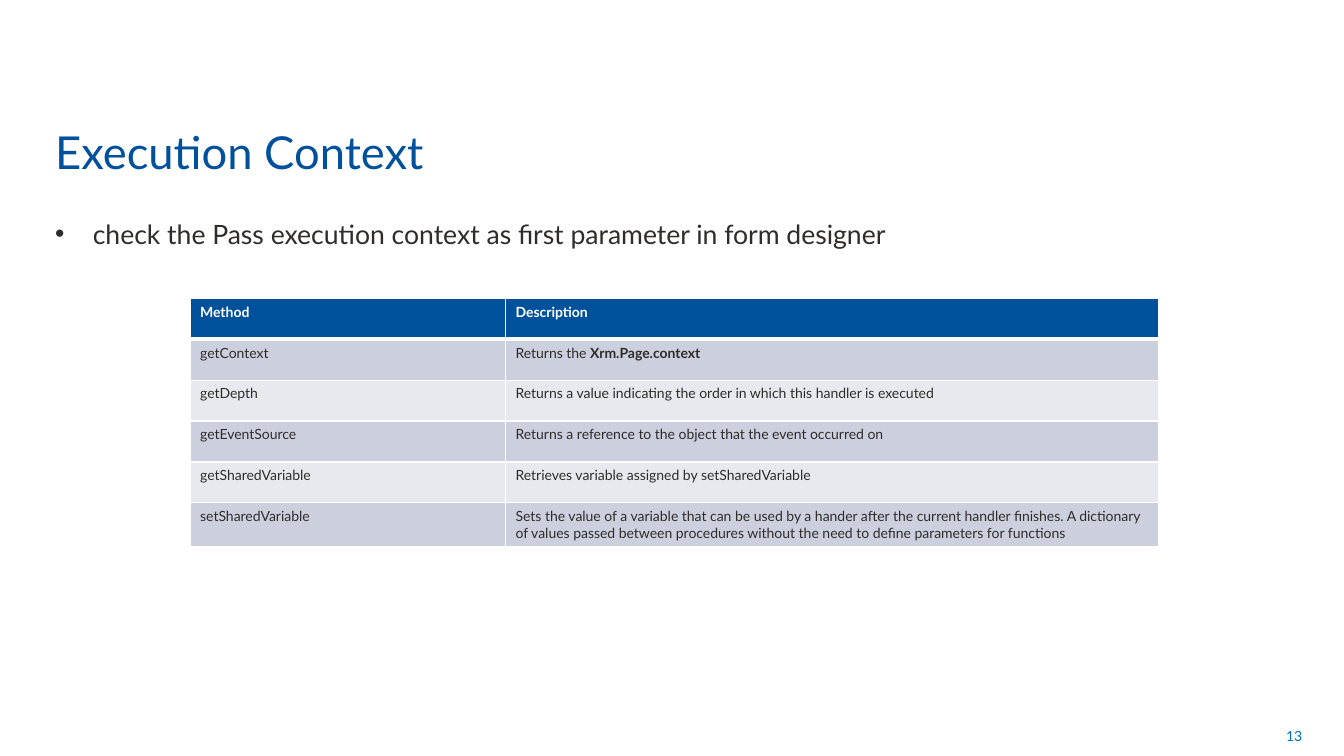
from lxml.etree import SubElement
from pptx import Presentation
from pptx.dml.color import RGBColor
from pptx.enum.text import MSO_ANCHOR as Anchor, PP_ALIGN as Align
from pptx.oxml.ns import qn
from pptx.util import Cm, Pt

BLUE, NUMBER_BLUE, INK, WHITE = "00519C", "0070C0", "2E2D2C", "FFFFFF"
BANDS = "CCD0DE", "E7E9EF"


def color(hex_value):
    return RGBColor.from_string(hex_value)


def add_color(parent, hex_value):
    SubElement(parent, qn("a:srgbClr"), val=hex_value)


class SlideBuilder:
    font_name = "Lato"

    def __init__(self, slide):
        self.slide = slide

    def style(self, paragraph, size, hex_value, bold=False):
        font = paragraph.font
        font.name, font.size, font.bold = self.font_name, Pt(size), bold
        font.color.rgb = color(hex_value)

    def text(self, wording, box, size, hex_value, anchor=Anchor.TOP, align=Align.LEFT, bullet=False):
        frame = self.slide.shapes.add_textbox(*map(Cm, box)).text_frame
        frame.word_wrap = True
        frame.vertical_anchor = anchor
        paragraph = frame.paragraphs[0]
        paragraph.text = wording
        paragraph.alignment = align
        if bullet:
            self.bullet(paragraph, hex_value)
        self.style(paragraph, size, hex_value)

    def bullet(self, paragraph, hex_value, indent=0.95):
        properties = paragraph._p.get_or_add_pPr()
        properties.set("marL", str(Cm(indent)))
        properties.set("indent", str(-Cm(indent)))
        add_color(SubElement(properties, qn("a:buClr")), hex_value)
        SubElement(properties, qn("a:buFont"), typeface="Arial")
        SubElement(properties, qn("a:buChar"), char="•")
        paragraph.space_before, paragraph.space_after = Pt(2), Pt(8)

    def borders(self, cell, widths):
        properties = cell._tc.get_or_add_tcPr()
        for side, width in widths.items():
            line = SubElement(properties, qn(f"a:ln{side}"), w=str(Pt(width)))
            add_color(SubElement(line, qn("a:solidFill")), WHITE)

    def cell(self, cell, parts, fill, hex_value, header, below_header):
        self.borders(cell, {"L": 1, "R": 1, "T": 3 if below_header else 1, "B": 3 if header else 1})
        cell.fill.solid()
        cell.fill.fore_color.rgb = color(fill)
        paragraph = cell.text_frame.paragraphs[0]
        self.style(paragraph, 10, hex_value, header)
        for position, part in enumerate(parts):
            run = paragraph.add_run()
            run.text = part
            if position:
                run.font.bold = True

    def table(self, rows, left, top, widths, row_height):
        table = self.slide.shapes.add_table(
            len(rows), len(widths), Cm(left), Cm(top), Cm(sum(widths)), Cm(row_height * len(rows))
        ).table
        for column, width in zip(table.columns, widths):
            column.width = Cm(width)
        for r, row in enumerate(rows):
            fill, ink = (BANDS[(r - 1) % 2], INK) if r else (BLUE, WHITE)
            for c, parts in enumerate(row):
                self.cell(table.cell(r, c), parts, fill, ink, r == 0, r == 1)


methods = [
    (["Method"], ["Description"]),
    (["getContext"], ["Returns the ", "Xrm.Page.context"]),
    (["getDepth"], ["Returns a value indicating the order in which this handler is executed"]),
    (["getEventSource"], ["Returns a reference to the object that the event occurred on"]),
    (["getSharedVariable"], ["Retrieves variable assigned by setSharedVariable"]),
    (["setSharedVariable"], [
        "Sets the value of a variable that can be used by a hander after the current handler finishes. "
        "A dictionary of values passed between procedures without the need to define parameters for functions"
    ]),
]

deck = Presentation()
deck.slide_width, deck.slide_height = Cm(33.87), Cm(19.05)
builder = SlideBuilder(deck.slides.add_slide(deck.slide_layouts[6]))
builder.text("13", (25.17, 18.03, 7.9, 1.02), 10, NUMBER_BLUE, Anchor.MIDDLE, Align.RIGHT)
builder.text("check the Pass execution context as first parameter in form designer",
             (1.14, 5.36, 31.67, 12.62), 19, INK, bullet=True)
builder.text("Execution Context", (1.14, 2.87, 25.35, 1.75), 32.4, BLUE, Anchor.BOTTOM)
builder.table(methods, 4.79, 7.52, (7.95, 16.46), 1.03)
deck.save("out.pptx")
